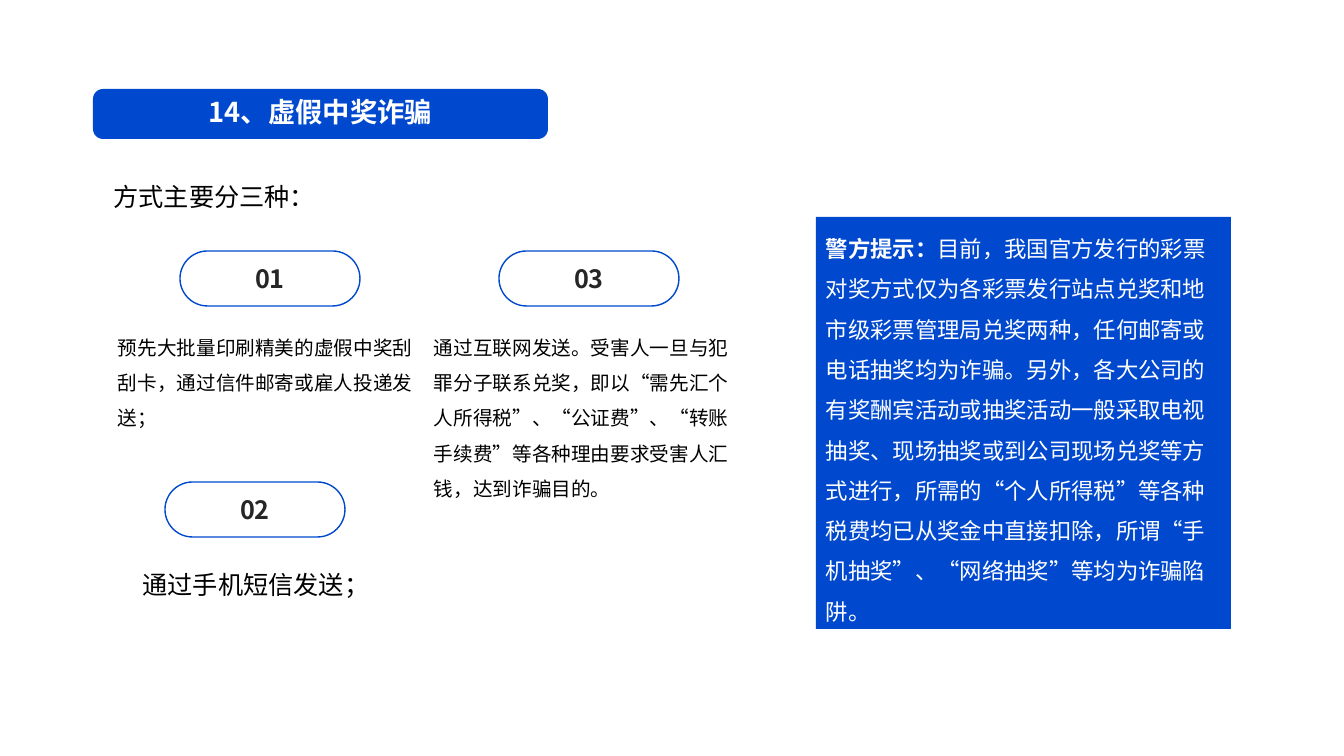
from lxml import etree
from pptx import Presentation, util as u
from pptx.dml.color import RGBColor
from pptx.enum import shapes, text
from pptx.oxml.ns import qn

BLUE = RGBColor(0x00, 0x49, 0xCE)
WHITE = RGBColor(0xFF, 0xFF, 0xFF)
BLACK = RGBColor(0x00, 0x00, 0x00)
GRAY = RGBColor(0x26, 0x26, 0x26)
FONT = "Noto Sans CJK SC"
SCALE = 914400 / 100.8
LEFT, MID = text.PP_ALIGN.LEFT, text.PP_ALIGN.CENTER

TIP = ("目前，我国官方发行的彩票对奖方式仅为各彩票发行站点兑奖和地市级彩票管理局兑奖两种，"
       "任何邮寄或电话抽奖均为诈骗。另外，各大公司的有奖酬宾活动或抽奖活动一般采取电视抽奖、"
       "现场抽奖或到公司现场兑奖等方式进行，所需的“个人所得税”等各种税费均已从奖金中直接扣除，"
       "所谓“手机抽奖”、“网络抽奖”等均为诈骗陷阱。")
MAIL = "预先大批量印刷精美的虚假中奖刮刮卡，通过信件邮寄或雇人投递发送；"
WEB = ("通过互联网发送。受害人一旦与犯罪分子联系兑奖，即以“需先汇个人所得税”、“公证费”、"
       "“转账手续费”等各种理由要求受害人汇钱，达到诈骗目的。")

# Pill label, pill corner, text box, wording, size, alignment
WAYS = [
    ("01", (180, 251), (108, 319, 326, 117), MAIL, 14, LEFT),
    ("02", (165, 482), (93, 549, 326, 50), "通过手机短信发送；", 18, MID),
    ("03", (499, 251), (424, 319, 330, 188), WEB, 14, LEFT),
]


def px(*nums):
    return [u.Emu(round(n * SCALE)) for n in nums]


def write(shape, words, size, color, bold=None, align=LEFT, space=1.0, grow=True):
    """Fill a shape with one paragraph; words is a list of runs."""
    frame = shape.text_frame
    frame.word_wrap = True
    if grow:
        frame.auto_size = text.MSO_AUTO_SIZE.SHAPE_TO_FIT_TEXT
        frame.vertical_anchor = text.MSO_ANCHOR.TOP
    else:
        frame.vertical_anchor = text.MSO_ANCHOR.MIDDLE
    para = frame.paragraphs[0]
    para.alignment, para.line_spacing = align, space
    font = para.font
    font.name, font.size, font.bold = FONT, u.Pt(size), bold
    font.color.rgb = color
    # East Asian typeface
    base = para._p.pPr.find(qn("a:defRPr"))
    etree.SubElement(base, qn("a:ea")).set("typeface", FONT)
    for word in words:
        para.add_run().text = word
    return para


def block(slide, kind, box, fill=None, curve=None):
    """Add a filled shape, or an outlined one when no fill is given."""
    shape = slide.shapes.add_shape(kind, *px(*box))
    shape.shadow.inherit = False
    if curve is not None:
        shape.adjustments[0] = curve
    if fill is None:
        shape.fill.background()
        shape.line.color.rgb = BLUE
        shape.line.width = u.Pt(1)
    else:
        shape.fill.solid()
        shape.fill.fore_color.rgb = fill
        shape.line.fill.background()
    return shape


def note(slide, box, words, size, **style):
    write(slide.shapes.add_textbox(*px(*box)), [words], size, BLACK, **style)


def way(slide, label, spot, box, words, size, align):
    pill = block(slide, shapes.MSO_SHAPE.ROUNDED_RECTANGLE, (*spot, 180, 55), curve=0.5)
    write(pill, [label], 18, GRAY, bold=True, align=MID, grow=False)
    note(slide, box, words, size, align=align, space=1.5)


def main():
    deck = Presentation()
    deck.slide_width, deck.slide_height = px(1344, 756)
    slide = deck.slides.add_slide(deck.slide_layouts[6])

    # Police advice
    tip = block(slide, shapes.MSO_SHAPE.RECTANGLE, (816, 217, 415, 412), BLUE)
    para = write(tip, ["警方提示：", TIP], 16, WHITE, space=1.5)
    para.runs[0].font.bold = True

    # Intro and title
    note(slide, (98, 176, 248, 40), " 方式主要分三种：", 18)
    title = block(slide, shapes.MSO_SHAPE.ROUNDED_RECTANGLE, (93, 89, 455, 50), BLUE, 0.2)
    write(title, ["14、虚假中奖诈骗"], 19.5, WHITE, bold=True, align=MID, space=0.9, grow=False)

    # Three ways
    for item in WAYS:
        way(slide, *item)

    deck.save("out.pptx")


main()
